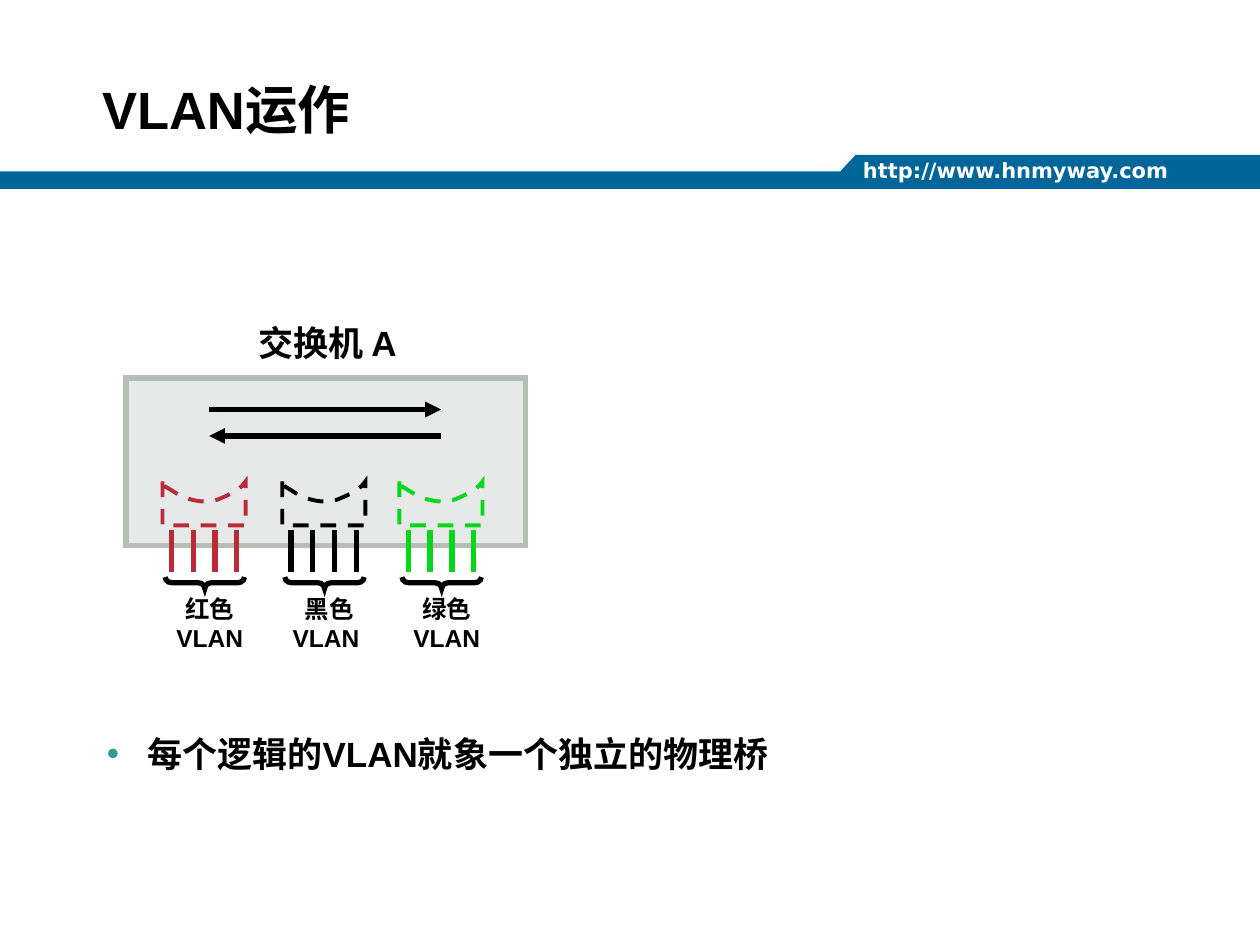
from lxml import etree
from pptx import Presentation
from pptx.dml.color import RGBColor
from pptx.enum.dml import MSO_LINE
from pptx.enum.shapes import MSO_CONNECTOR, MSO_SHAPE
from pptx.enum.text import MSO_ANCHOR, MSO_AUTO_SIZE, PP_ALIGN
from pptx.oxml.ns import qn
from pptx.util import Inches, Pt

STRAIGHT = MSO_CONNECTOR.STRAIGHT
RECTANGLE, RIGHT_BRACE = MSO_SHAPE.RECTANGLE, MSO_SHAPE.RIGHT_BRACE
TOP, MIDDLE, BOTTOM = MSO_ANCHOR.TOP, MSO_ANCHOR.MIDDLE, MSO_ANCHOR.BOTTOM
LEFT, CENTER = PP_ALIGN.LEFT, PP_ALIGN.CENTER
FIT_SHAPE, NO_FIT = MSO_AUTO_SIZE.SHAPE_TO_FIT_TEXT, MSO_AUTO_SIZE.NONE
DASH = MSO_LINE.DASH

BLACK = RGBColor(0x00, 0x00, 0x00)
WHITE = RGBColor(0xFF, 0xFF, 0xFF)
BLUE = RGBColor(0x00, 0x66, 0x99)
RED = RGBColor(0xB9, 0x2B, 0x38)
GREEN = RGBColor(0x07, 0xD7, 0x1B)
TEAL = RGBColor(0x33, 0x99, 0x99)
SWITCH_FILL = RGBColor(0xE7, 0xE9, 0xE8)
SWITCH_EDGE = RGBColor(0xB7, 0xBE, 0xB6)

VLANS = [
    (1.29, RED, ["红色", "VLAN"]),
    (2.24, BLACK, ["黑色", "VLAN "]),
    (3.17, GREEN, ["绿色", "VLAN"]),
]
BRIDGE_CURVES = [
    [(0.66, 0), (0.63, 0.04), (0.63, 0.04), (0.59, 0.07)],
    [(0.59, 0.07), (0.54, 0.1), (0.52, 0.11), (0.45, 0.14)],
    [(0.45, 0.14), (0.4, 0.16), (0.37, 0.16), (0.33, 0.16)],
    [(0.33, 0.16), (0.29, 0.16), (0.25, 0.15), (0.21, 0.14)],
    [(0.21, 0.14), (0.17, 0.13), (0.13, 0.11), (0.07, 0.07)],
    [(0.07, 0.07), (0.04, 0.05), (0, 0.04), (0, 0)],
]
CURVE_STEPS = 5


def apply_format(target, values):
    for name, value in values.items():
        setattr(target, name, value)


def add_text(slide, box, lines, size, color=BLACK, font="Arial", align=LEFT,
             spacing=None, margins=(0.1, 0.05), **frame_format):
    shape = slide.shapes.add_textbox(*map(Inches, box))
    frame = shape.text_frame
    horizontal, vertical = map(Inches, margins)
    defaults = {
        "word_wrap": True, "auto_size": FIT_SHAPE, "vertical_anchor": MIDDLE,
        "margin_left": horizontal, "margin_right": horizontal,
        "margin_top": vertical, "margin_bottom": vertical,
    }
    apply_format(frame, {**defaults, **frame_format})
    for index, line in enumerate(lines):
        paragraph = frame.add_paragraph() if index else frame.paragraphs[0]
        apply_format(paragraph, {"alignment": align, "line_spacing": spacing})
        run = paragraph.add_run()
        run.text = line
        apply_format(run.font, {"name": font, "size": Pt(size), "bold": True})
        run.font.color.rgb = color
    return frame


def style_line(shape, color, width, dash=None):
    shape.line.color.rgb = color
    apply_format(shape.line, {"width": Pt(width), "dash_style": dash})
    etree.SubElement(shape.line._get_or_add_ln(), qn("a:miter"), lim="800000")


def add_line(shapes, start, end, color):
    line = shapes.add_connector(STRAIGHT, *map(Inches, (*start, *end)))
    style_line(line, color, 3)
    etree.SubElement(line._element.spPr, qn("a:effectLst"))
    return line


def add_polygon(slide, points):
    corners = [(Inches(x), Inches(y)) for x, y in points]
    builder = slide.shapes.build_freeform(*corners[0])
    builder.add_line_segments(corners[1:], close=True)
    shape = builder.convert_to_shape()
    shape.shadow.inherit = False
    return shape


def add_header(slide, left, top, width, height):
    right, bottom, bar_top = left + width, top + height, top + 0.13
    bar = add_polygon(slide, [
        (left, bottom), (left, bar_top), (left + 6.67, bar_top),
        (left + 6.79, top), (right, top), (right, bottom),
    ])
    bar.fill.solid()
    bar.fill.fore_color.rgb = BLUE
    bar.line.fill.background()
    add_text(slide, (left + 6.75, top - 0.03, 2.92, 0.3),
             ["http://www.hnmyway.com"], 12, WHITE, "DejaVu Sans",
             vertical_anchor=TOP)


def add_switch(slide, left, top, width, height):
    add_text(slide, (left + 0.7, top - 0.5, 1.8, 0.44), ["交换机 A"], 20,
             align=CENTER)
    body = slide.shapes.add_shape(
        RECTANGLE, *map(Inches, (left, top, width, height)))
    body.shadow.inherit = False
    body.fill.solid()
    body.fill.fore_color.rgb = SWITCH_FILL
    style_line(body, SWITCH_EDGE, 3)
    arrow_left, arrow_right = left + 0.66, left + 2.5
    for start, end, offset in [(arrow_left, arrow_right, 0.25),
                               (arrow_right, arrow_left, 0.46)]:
        arrow = add_line(slide.shapes, (start, top + offset),
                         (end, top + offset), BLACK)
        etree.SubElement(arrow.line._get_or_add_ln(), qn("a:tailEnd"),
                         type="triangle")


def curve_point(curve, t):
    weights = ((1 - t) ** 3, 3 * t * (1 - t) ** 2, 3 * t * t * (1 - t), t ** 3)
    return [sum(weight * point[axis] for weight, point in zip(weights, curve))
            for axis in (0, 1)]


def add_bridge(slide, left, top, width, height, color):
    outline = [(0, 0), (0, height), (width, height), (width, 0)]
    outline += [curve_point(curve, step / CURVE_STEPS)
                for curve in BRIDGE_CURVES
                for step in range(1, CURVE_STEPS + 1)]
    bridge = add_polygon(slide, [(left + x, top + y) for x, y in outline[:-1]])
    bridge.fill.background()
    style_line(bridge, color, 2.25, DASH)


def add_brace(slide, left, top, width, height):
    brace = slide.shapes.add_shape(RIGHT_BRACE, *map(Inches, (
        left + (width - height) / 2, top + (height - width) / 2,
        height, width)))
    brace.rotation = 90
    brace.adjustments[0] = 0.6
    brace.shadow.inherit = False
    brace.fill.background()
    style_line(brace, BLACK, 3)


def add_vlan(slide, left, top, color, label):
    add_bridge(slide, left, top, 0.66, 0.35, color)
    ports = slide.shapes.add_group_shape()
    for index in range(4):
        x = left + 0.07 + index * 0.52 / 3
        add_line(ports.shapes, (x, top + 0.39), (x, top + 0.72), color)
    add_brace(slide, left + 0.02, top + 0.76, 0.63, 0.09)
    add_text(slide, (left - 0.08, top + 0.84, 0.91, 0.57), label, 14,
             align=CENTER)


def add_bullet_text(slide, box, text):
    frame = add_text(slide, box, [text], 20)
    properties = frame.paragraphs[0]._p.get_or_add_pPr()
    properties.set("marL", str(Inches(0.32)))
    properties.set("indent", str(-Inches(0.32)))
    bullet_color = etree.SubElement(properties, qn("a:buClr"))
    etree.SubElement(bullet_color, qn("a:srgbClr"), val=str(TEAL))
    etree.SubElement(properties, qn("a:buFont"), typeface="Arial")
    etree.SubElement(properties, qn("a:buChar"), char="•")


def main():
    presentation = Presentation()
    presentation.slide_width = Inches(10)
    presentation.slide_height = Inches(7.5)
    slide = presentation.slides.add_slide(presentation.slide_layouts[6])
    add_header(slide, 0, 1.23, 10, 0.27)
    add_switch(slide, 1, 3, 3.17, 1.33)
    for left, color, label in VLANS:
        add_vlan(slide, left, 3.82, color, label)
    add_bullet_text(slide, (0.75, 5.76, 8.5, 0.44),
                    "每个逻辑的VLAN就象一个独立的物理桥")
    add_text(slide, (0.72, 0.24, 8.91, 0.92), ["VLAN运作"], 30, spacing=0.9,
             margins=(0.09, 0.04), vertical_anchor=BOTTOM, auto_size=NO_FIT)
    presentation.save("out.pptx")


if __name__ == "__main__":
    main()
